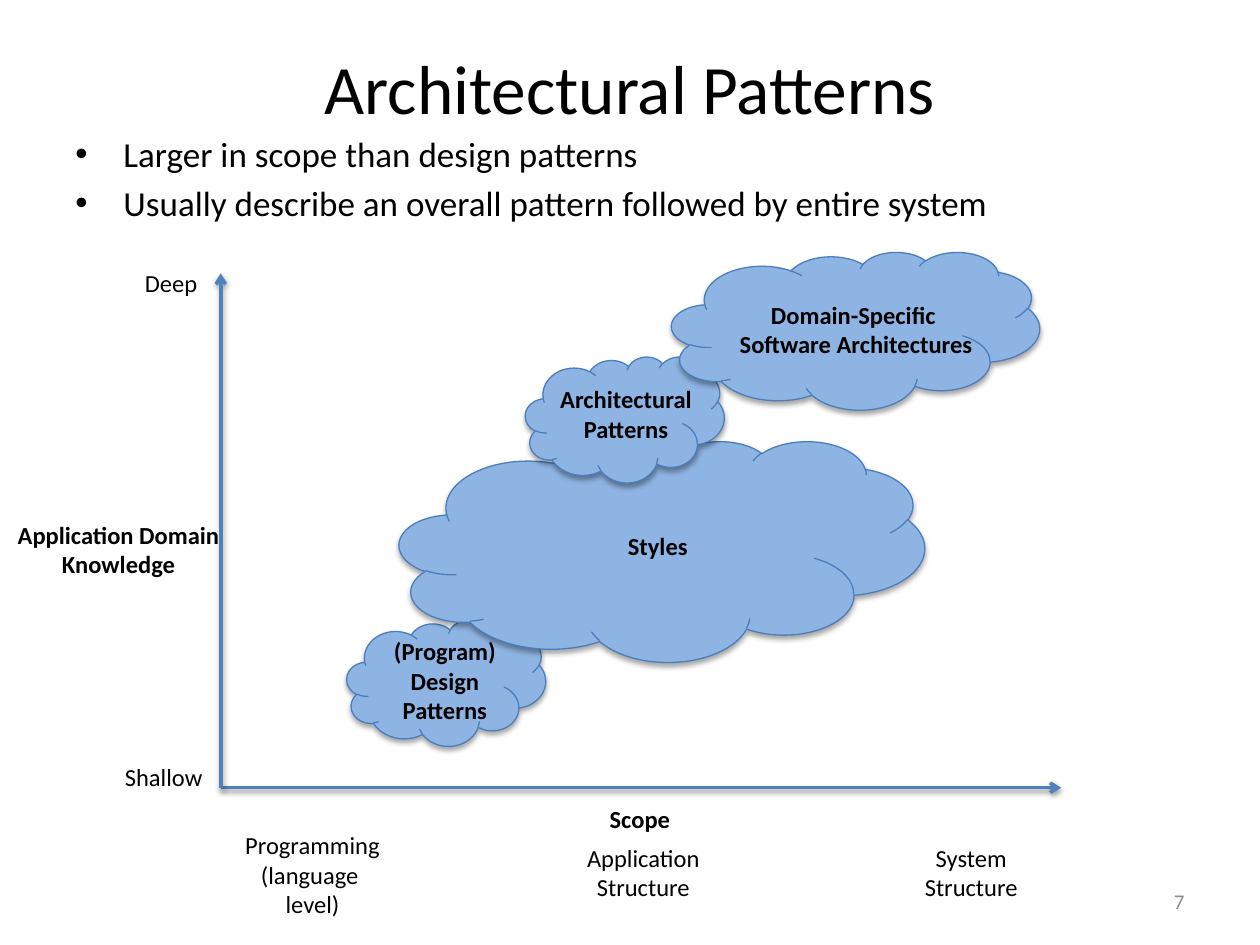
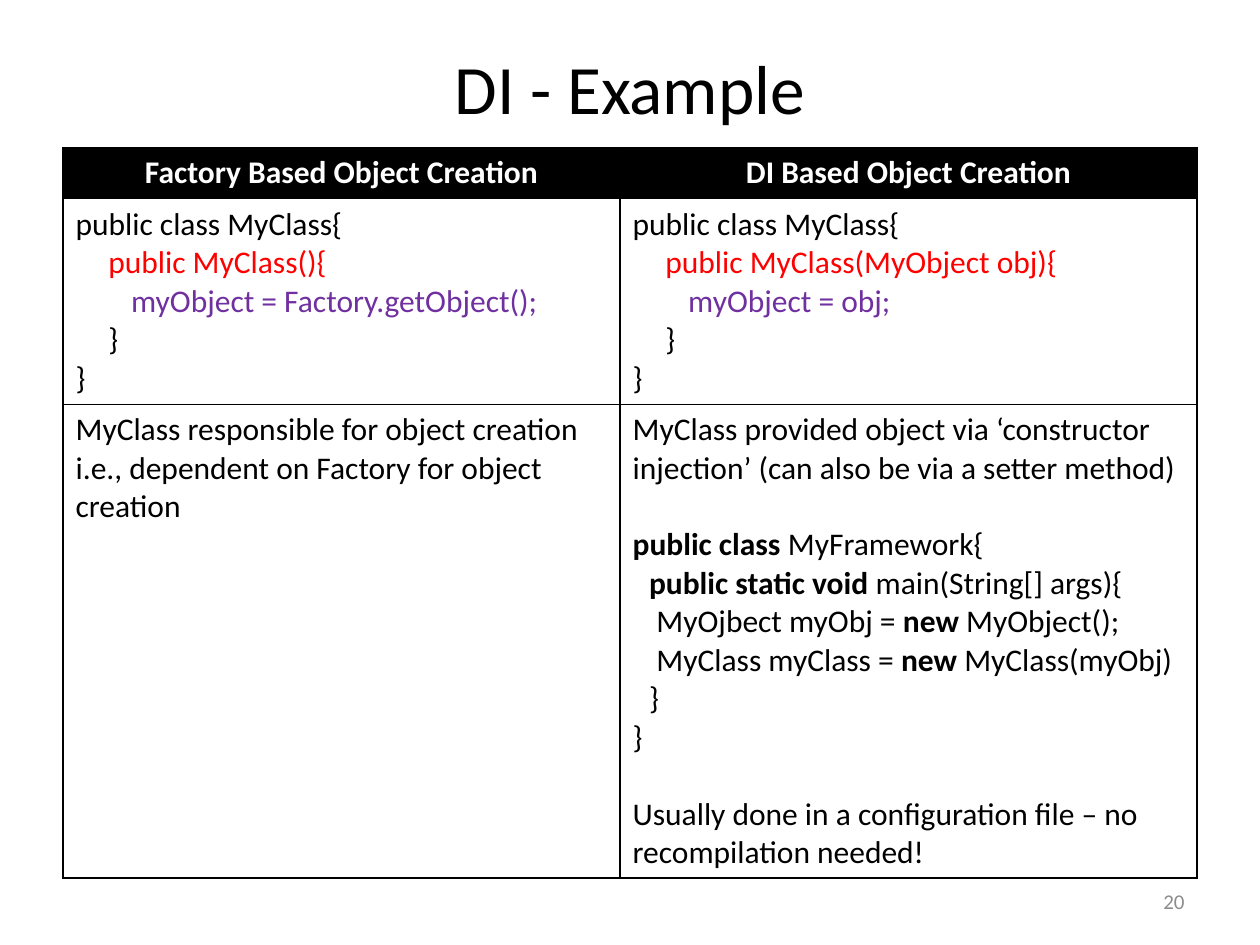
import dataclasses

import pptx
import pptx.dml.color
import pptx.enum.shapes
import pptx.enum.text
import pptx.oxml
import pptx.oxml.ns
import pptx.util

Cm = pptx.util.Cm
Pt = pptx.util.Pt
Align = pptx.enum.text.PP_ALIGN
Anchor = pptx.enum.text.MSO_ANCHOR
Grow = pptx.enum.text.MSO_AUTO_SIZE.SHAPE_TO_FIT_TEXT
SPACE = pptx.oxml.ns.nsdecls("a")


@dataclasses.dataclass(frozen=True)
class Theme:
    """Colours and type sizes shared by the slides."""
    font: str = "Calibri"
    black: str = "000000"
    white: str = "FFFFFF"
    red: str = "FF0000"
    violet: str = "7030A0"
    grey: str = "8C8C8C"
    cloud: str = "8EB4E3"
    edge: str = "4B7EBC"
    axis: str = "4F81BD"
    title: float = 39.6
    body: float = 20
    code: float = 18
    label: float = 14
    foot: float = 12


@dataclasses.dataclass(frozen=True)
class Box:
    """A rectangle in centimetres."""
    x: float
    y: float
    w: float
    h: float

    def spot(self, dx, dy, w, h):
        """Return a box offset from this one's corner."""
        return Box(self.x + dx, self.y + dy, w, h)

    def sides(self):
        """Return left, top, width and height as lengths."""
        return [Cm(side) for side in (self.x, self.y, self.w, self.h)]


@dataclasses.dataclass(frozen=True)
class Line:
    """One paragraph, with bold parts between asterisks."""
    text: str
    ink: str = "000000"
    left: float = 0
    gap: float = 0
    dot: bool = False


THEME = Theme()
TITLE = Box(1.27, 0.76, 22.86, 1.98)
BODY = Box(1.27, 2.54, 22.86, 2.34)
FOOT = Box(18.21, 17.65, 5.92, 1.02)
PLOT = Box(4.45, 5.51, 16.94, 10.37)
TABLE = Box(1.27, 2.97, 22.86, 14.73)

CLOUDS = [
    (2.54, 6.99, 4.01, 2.54),
    (3.6, 3.38, 10.59, 4.45),
    (6.14, 1.68, 4.01, 2.54),
    (9.09, -0.43, 7.42, 3.18),
]
LABELS = [
    (4.52, 7.19, 2.59, ["*(Program)*", "*Design*", "*Patterns*"]),
    (8.81, 5.08, 1.73, ["*Styles*"]),
    (8.17, 2.11, 3.2, ["*Architectural*", "*Patterns*"]),
    (12.81, 0.41, 5.26, ["*Domain-Specific *", "*Software Architectures*"]),
    (-2.06, 4.85, 4.62, ["*Application Domain*", "*Knowledge*"]),
    (8.45, 10.57, 1.73, ["*Scope*"]),
    (-1.15, 9.73, 2.13, ["Shallow"]),
    (-1, -0.23, 1.57, ["Deep"]),
    (1.85, 11.1, 3.3, ["Programming", "(language ", "level)"]),
    (8.52, 11.36, 2.87, ["Application", "Structure"]),
    (15.13, 11.36, 2.44, ["System", "Structure"]),
]


def snippet(head, call):
    """Return the lines of a class with one method."""
    return [
        Line("public class MyClass{"),
        Line(head, THEME.red, 0.66),
        Line(call, THEME.violet, 1.12),
        Line("}", left=0.66),
        Line("}"),
    ]


ROWS = [
    [[Line("*Factory Based Object Creation*", THEME.white)],
     [Line("*DI Based Object Creation*", THEME.white)]],
    [snippet("public MyClass(){", "myObject = Factory.getObject();"),
     snippet("public MyClass(MyObject obj){", "myObject = obj;")],
    [[Line("MyClass responsible for object creation i.e., dependent on "
           "Factory for object creation")],
     [Line("MyClass provided object via ‘constructor injection’ "
           "(can also be via a setter method)"),
      Line("*public class *MyFramework{", gap=22),
      Line("*public static void *main(String[] args){", left=0.33),
      Line("MyOjbect myObj = *new *MyObject();", left=0.48),
      Line("MyClass myClass = *new *MyClass(myObj)", left=0.48),
      Line("}", left=0.33),
      Line("}"),
      Line("Usually done in a configuration file – no recompilation needed!",
           gap=22)]],
]


def rgb(code):
    """Turn a hex code into a colour."""
    return pptx.dml.color.RGBColor.from_string(code)


def apply(item, values):
    """Set each named value on the item."""
    for name, value in values.items():
        setattr(item, name, value)


def attach(node, markup):
    """Append a piece of drawing markup to a node."""
    head, tail = markup.split(" ", 1)
    node.append(pptx.oxml.parse_xml(f"{head} {SPACE} {tail}"))


def shade(item, dist, alpha):
    """Give the item a soft shadow that falls straight down."""
    attach(item._element.spPr,
           f'<a:effectLst ><a:outerShdw blurRad="{Pt(3.1)}" '
           f'dist="{Pt(dist)}" dir="5400000" rotWithShape="0">'
           f'<a:srgbClr val="{THEME.black}"><a:alpha val="{alpha * 1000}"/>'
           '</a:srgbClr></a:outerShdw></a:effectLst>')


def write(frame, lines, size, align=Align.LEFT):
    """Fill a text frame with lines."""
    for rank, line in enumerate(lines):
        para = frame.add_paragraph() if rank else frame.paragraphs[0]
        apply(para, {"alignment": align, "space_before": Pt(line.gap)})
        props = para._p.get_or_add_pPr()
        props.set("marL", str(Cm(line.left)))
        props.set("indent", str(-Cm(line.left) if line.dot else 0))
        if line.dot:
            attach(props, '<a:buFont typeface="Arial"/>')
            attach(props, '<a:buChar char="•"/>')
        for turn, part in enumerate(line.text.split("*")):
            if part:
                run = para.add_run()
                run.text = part
                apply(run.font, {"name": THEME.font, "size": Pt(size),
                                 "bold": turn % 2 == 1})
                run.font.color.rgb = rgb(line.ink)


def text(slide, box, lines, size, align=Align.LEFT, **extra):
    """Add a text box; extra values go to its frame."""
    frame = slide.shapes.add_textbox(*box.sides()).text_frame
    apply(frame, {"word_wrap": True, **extra})
    write(frame, lines, size, align)


def start(deck, title, number):
    """Add a slide with its title and page number."""
    slide = deck.slides.add_slide(deck.slide_layouts[6])
    middle = {"vertical_anchor": Anchor.MIDDLE}
    text(slide, TITLE, [Line(title)], THEME.title, Align.CENTER, **middle)
    text(slide, FOOT, [Line(number, THEME.grey)], THEME.foot, Align.RIGHT,
         **middle)
    return slide


def axes(slide, box):
    """Draw both arrows from the lower left corner."""
    left, top, width, height = box.sides()
    base = top + height
    for end in ((left + width, base), (left, top)):
        axis = slide.shapes.add_connector(
            pptx.enum.shapes.MSO_CONNECTOR.STRAIGHT, left, base, *end)
        axis.line.color.rgb = rgb(THEME.axis)
        axis.line.width = Pt(2)
        attach(axis.line._get_or_add_ln(), '<a:tailEnd type="arrow"/>')
        shade(axis, 1.6, 38)


def plot(slide, box):
    """Draw the axes, the clouds and their labels."""
    axes(slide, box)
    for place in CLOUDS:
        cloud = slide.shapes.add_shape(
            pptx.enum.shapes.MSO_SHAPE.CLOUD, *box.spot(*place).sides())
        cloud.fill.solid()
        cloud.fill.fore_color.rgb = rgb(THEME.cloud)
        cloud.line.color.rgb = rgb(THEME.edge)
        cloud.line.width = Pt(0.75)
        shade(cloud, 1.8, 35)
    for mid, top, width, words in LABELS:
        place = box.spot(mid - width / 2, top, width, 0.26 + 0.6 * len(words))
        text(slide, place, [Line(word) for word in words], THEME.label,
             Align.CENTER, word_wrap=False, auto_size=Grow)


def border(cell, inner):
    """Rule all four sides, the inner one a little wider."""
    for side in "LRTB":
        width = Pt(1 if side == inner else 0.75)
        attach(cell._tc.get_or_add_tcPr(),
               f'<a:ln{side} w="{width}"><a:solidFill>'
               f'<a:srgbClr val="{THEME.black}"/></a:solidFill></a:ln{side}>')


def table(slide, box):
    """Compare two ways to create objects."""
    grid = slide.shapes.add_table(len(ROWS), 2, *box.sides()).table
    grid.horz_banding = False
    for column, width in zip(grid.columns, (11.23, 11.63)):
        column.width = Cm(width)
    for row, height in zip(grid.rows, (1.04, 4.14, 9.55)):
        row.height = Cm(height)
    for down, row in enumerate(ROWS):
        for across, lines in enumerate(row):
            cell = grid.cell(down, across)
            border(cell, "RL"[across] if down else "")
            cell.fill.solid()
            cell.fill.fore_color.rgb = rgb(
                THEME.white if down else THEME.black)
            write(cell.text_frame, lines, THEME.code,
                  Align.LEFT if down else Align.CENTER)


def main():
    """Build and save the deck."""
    deck = pptx.Presentation()
    apply(deck, {"slide_width": Cm(25.4), "slide_height": Cm(19.05)})
    slide = start(deck, "Architectural Patterns", "7")
    points = ["Larger in scope than design patterns",
              "Usually describe an overall pattern followed by entire system"]
    text(slide, BODY,
         [Line(point, left=0.97, gap=4, dot=True) for point in points],
         THEME.body)
    plot(slide, PLOT)
    slide = start(deck, "DI - Example", "20")
    table(slide, TABLE)
    deck.save("out.pptx")


if __name__ == "__main__":
    main()
